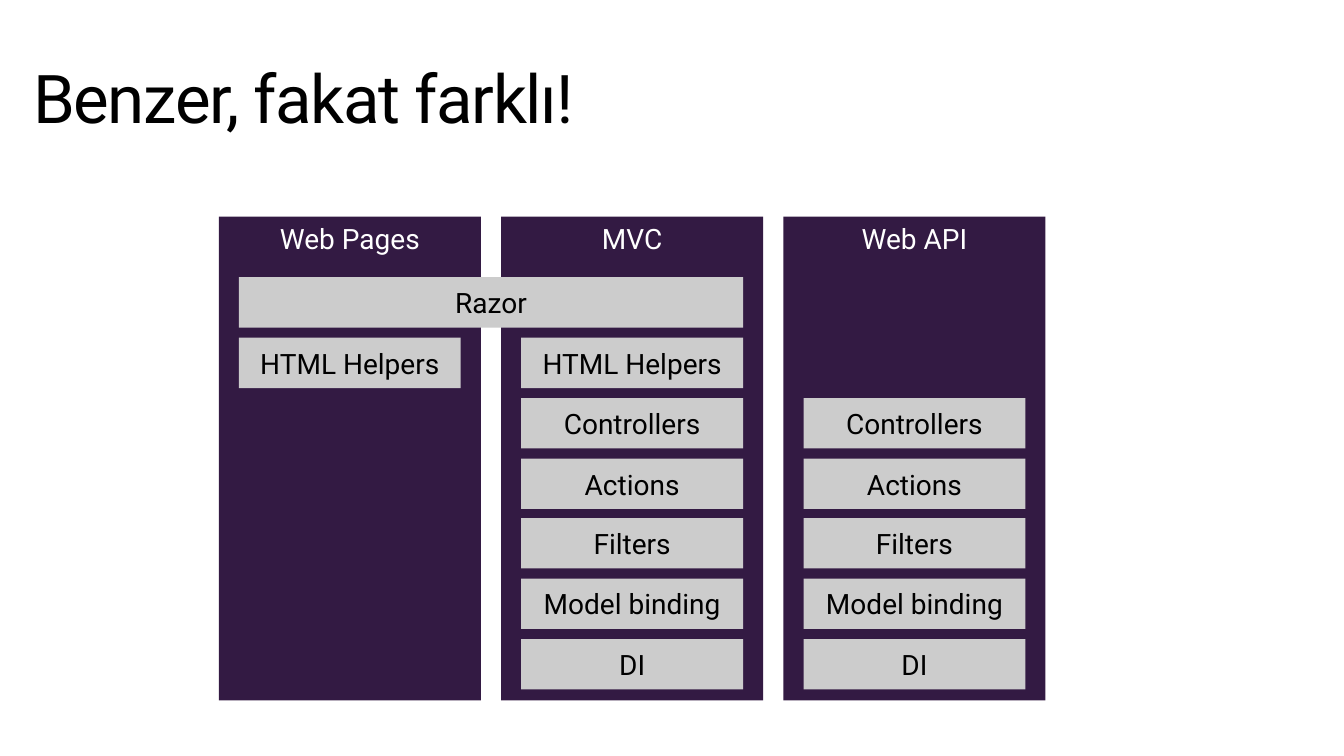
from pptx import Presentation
from pptx import util as u
from pptx.dml.color import RGBColor
from pptx.enum import shapes, text

PX = 9144  # EMU per px, 100 px to the inch

THEME = {
    "font": "Roboto",
    "paper": RGBColor(0xFF, 0xFF, 0xFF),
    "ink": RGBColor(0x00, 0x00, 0x00),
    "column": RGBColor(0x33, 0x1A, 0x43),
    "feature": RGBColor(0xCC, 0xCC, 0xCC),
    "title_size": u.Pt(48),
    "label_size": u.Pt(20),
}


def write(shape, words, size, color, align, anchor, inset_x, inset_y):
    frame = shape.text_frame
    frame.text = words
    settings = {
        "word_wrap": True,
        "auto_size": text.MSO_AUTO_SIZE.NONE,
        "vertical_anchor": anchor,
        "margin_left": inset_x * PX,
        "margin_right": inset_x * PX,
        "margin_top": inset_y * PX,
        "margin_bottom": inset_y * PX,
    }
    for key, value in settings.items():
        setattr(frame, key, value)
    line = frame.paragraphs[0]
    line.alignment = align
    font = line.runs[0].font
    font.name, font.size, font.color.rgb = THEME["font"], size, color
    return line


def add_block(left, top, width, height, words, fill, color, anchor):
    block = slide.shapes.add_shape(
        shapes.MSO_SHAPE.RECTANGLE, left * PX, top * PX, width * PX, height * PX)
    block.shadow.inherit = False
    block.fill.solid()
    block.fill.fore_color.rgb = fill
    block.line.fill.background()
    write(block, words, THEME["label_size"], color, text.PP_ALIGN.CENTER, anchor, 0, 5)


deck = Presentation()
deck.slide_width, deck.slide_height = 1333 * PX, 750 * PX
slide = deck.slides.add_slide(deck.slide_layouts[5])
slide.background.fill.solid()
slide.background.fill.fore_color.rgb = THEME["paper"]

# Title
title = slide.shapes.title
title.left, title.top, title.width, title.height = 17 * PX, 55 * PX, 1300 * PX, 100 * PX
heading = write(title, "Benzer, fakat farklı!", THEME["title_size"], THEME["ink"],
                text.PP_ALIGN.LEFT, text.MSO_ANCHOR.TOP, 16, 10)
heading.line_spacing = 0.9
heading.runs[0].font._element.set("spc", "-100")

# Framework columns
LEFT, TOP, COLUMN_W, COLUMN_H, COLUMN_STEP = 217, 215, 260, 480, 280
for col, framework in enumerate(["Web Pages", "MVC", "Web API"]):
    add_block(LEFT + col * COLUMN_STEP, TOP, COLUMN_W, COLUMN_H, framework,
              THEME["column"], THEME["paper"], text.MSO_ANCHOR.TOP)

# Features: name and the (first, last) columns that each bar covers
features = [
    ("Razor", [(0, 1)]),
    ("HTML Helpers", [(0, 0), (1, 1)]),
    ("Controllers", [(1, 1), (2, 2)]),
    ("Actions", [(1, 1), (2, 2)]),
    ("Filters", [(1, 1), (2, 2)]),
    ("Model binding", [(1, 1), (2, 2)]),
    ("DI", [(1, 1), (2, 2)]),
]
PAD, FIRST_ROW, LAST_ROW, BAR_H = 20, 275, 634, 50
row_step = (LAST_ROW - FIRST_ROW) / (len(features) - 1)
for row, (feature, spans) in enumerate(features):
    for first, last in spans:
        add_block(LEFT + PAD + first * COLUMN_STEP, FIRST_ROW + round(row * row_step),
                  COLUMN_W - 2 * PAD + (last - first) * COLUMN_STEP, BAR_H, feature,
                  THEME["feature"], THEME["ink"], text.MSO_ANCHOR.MIDDLE)

deck.save("out.pptx")
